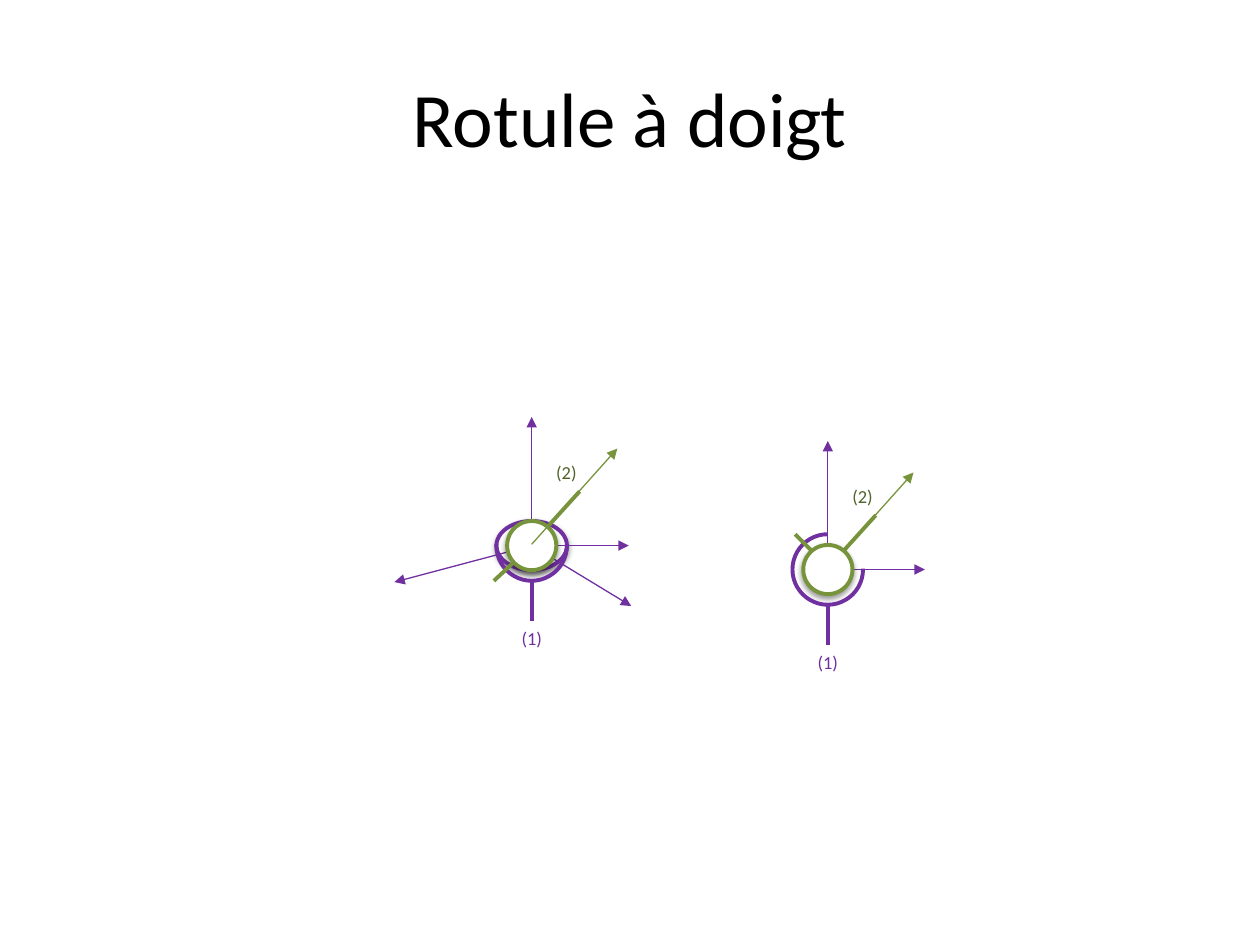
from lxml import etree
from pptx import Presentation
from pptx.dml.color import RGBColor
from pptx.enum.shapes import MSO_CONNECTOR, MSO_SHAPE as SHAPE
from pptx.enum.text import MSO_ANCHOR, MSO_AUTO_SIZE, PP_ALIGN
from pptx.oxml import parse_xml
from pptx.oxml.ns import nsdecls, qn
from pptx.util import Inches, Pt

PURPLE = RGBColor(0x70, 0x30, 0xA0)
GREEN = RGBColor(0x77, 0x93, 0x3C)
DARK_GREEN = RGBColor(0x4F, 0x62, 0x28)
WHITE = RGBColor(0xFF, 0xFF, 0xFF)
BLACK = RGBColor(0, 0, 0)

THIN, THICK = 0.75, 2.25
SOCKET = 0.56
BALL = 0.39
STEM_END = 0.6


def add_text(slide, left, top, width, height, words, size, color):
    box = slide.shapes.add_textbox(Inches(left), Inches(top), Inches(width), Inches(height))
    paragraph = box.text_frame.paragraphs[0]
    paragraph.alignment = PP_ALIGN.CENTER
    run = paragraph.add_run()
    run.text = words
    run.font.name = "Calibri"
    run.font.size = Pt(size)
    run.font.color.rgb = color
    return box.text_frame


def add_title(slide, left, top, width, height):
    frame = add_text(slide, left, top, width, height, "Rotule à doigt", 44, BLACK)
    frame.word_wrap = True
    frame.vertical_anchor = MSO_ANCHOR.MIDDLE


class JointView:
    """Draws joint parts, with offsets in inches from the centre of the socket box."""

    def __init__(self, slide, left, top, size):
        self.slide = slide
        self.x = left + size / 2
        self.y = top + size / 2

    def line(self, start, end, color, weight=THICK, arrow=False):
        (x1, y1), (x2, y2) = start, end
        line = self.slide.shapes.add_connector(
            MSO_CONNECTOR.STRAIGHT,
            Inches(self.x + x1), Inches(self.y + y1),
            Inches(self.x + x2), Inches(self.y + y2))
        line.line.color.rgb = color
        line.line.width = Pt(weight)
        if arrow:
            etree.SubElement(line.line._get_or_add_ln(), qn("a:tailEnd"), type="triangle")
        etree.SubElement(line._element.spPr, qn("a:effectLst"))

    def axis(self, end, color=PURPLE, start=(0, 0)):
        self.line(start, end, color, THIN, arrow=True)

    def outline(self, kind, width, height, color):
        shape = self.slide.shapes.add_shape(
            kind, Inches(self.x - width / 2), Inches(self.y - height / 2),
            Inches(width), Inches(height))
        shape.shadow.inherit = False
        shape.line.color.rgb = color
        shape.line.width = Pt(THICK)
        return shape

    def ellipse(self, width, height, color):
        ellipse = self.outline(SHAPE.OVAL, width, height, color)
        ellipse.fill.solid()
        ellipse.fill.fore_color.rgb = WHITE
        ellipse._element.spPr.find(qn("a:effectLst")).append(parse_xml(
            f'<a:outerShdw {nsdecls("a")} blurRad="{Pt(3.1)}" dist="{Pt(1.6)}" '
            'dir="5400000" rotWithShape="0"><a:srgbClr val="000000">'
            '<a:alpha val="38000"/></a:srgbClr></a:outerShdw>'))

    def socket(self, end_angle):
        """Opens the arc from the right, clockwise to end_angle in degrees."""
        arc = self.outline(SHAPE.ARC, SOCKET, SOCKET, PURPLE)
        arc.fill.background()
        # One unit of adjustment is 100000 steps, one degree is 60000.
        arc.adjustments[0] = 358.57 * 0.6
        arc.adjustments[1] = end_angle * 0.6

    def label(self, left, top, words, color):
        frame = add_text(self.slide, self.x + left, self.y + top, 0.39, 0.29,
                         words, 10.5, color)
        frame.word_wrap = False
        frame.auto_size = MSO_AUTO_SIZE.SHAPE_TO_FIT_TEXT

    def main_axes_and_stem(self):
        self.axis((0.77, 0))
        self.axis((0, -1.02))
        self.line((0, STEM_END), (0, SOCKET / 2 + 0.01), PURPLE)

    def finger_axis(self):
        self.axis((0.68, -0.77), GREEN, start=(0, -0.01))

    def finger_ball_and_labels(self):
        self.line((0, -0.01), (0.38, -0.43), GREEN)
        self.ellipse(BALL, BALL, GREEN)
        self.label(-BALL / 2, STEM_END, "(1)", PURPLE)
        self.label(0.08, -0.72, "(2)", DARK_GREEN)


def add_spatial_view(slide, left, top, size):
    view = JointView(slide, left, top, size)
    view.ellipse(SOCKET, BALL, PURPLE)
    view.main_axes_and_stem()
    view.axis((0.79, 0.48))
    view.axis((-1.09, 0.29))
    view.finger_ball_and_labels()
    view.socket(182.45)
    view.finger_axis()
    view.line((-0.14, 0.13), (-0.3, 0.28), GREEN)


def add_plane_view(slide, left, top, size):
    view = JointView(slide, left, top, size)
    view.finger_axis()
    view.main_axes_and_stem()
    view.finger_ball_and_labels()
    view.socket(269.97)
    view.line((-0.13, -0.15), (-0.26, -0.28), GREEN)


def main():
    deck = Presentation()
    deck.slide_width, deck.slide_height = Inches(10), Inches(7.5)
    slide = deck.slides.add_slide(deck.slide_layouts[6])
    add_plane_view(slide, 6.29, 4.24, SOCKET)
    add_spatial_view(slide, 3.94, 4.05, SOCKET)
    add_title(slide, 0.5, 0.3, 9, 1.25)
    deck.save("out.pptx")


if __name__ == "__main__":
    main()
